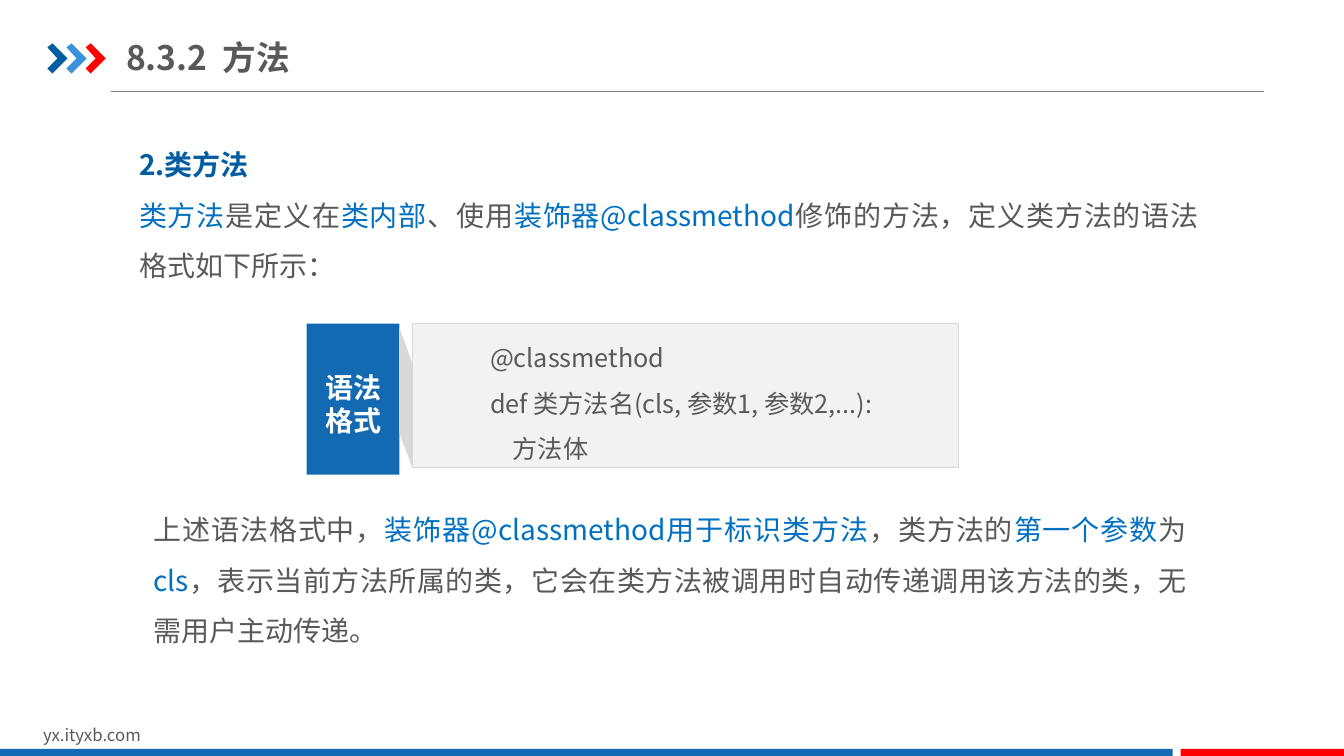
from lxml import etree
from pptx import Presentation
from pptx.dml.color import RGBColor
from pptx.enum.shapes import MSO_CONNECTOR, MSO_SHAPE
from pptx.enum.text import MSO_ANCHOR, PP_ALIGN
from pptx.oxml.ns import qn
from pptx.util import Inches, Pt

RECT = MSO_SHAPE.RECTANGLE
STRAIGHT = MSO_CONNECTOR.STRAIGHT
TOP, MIDDLE, BOTTOM = MSO_ANCHOR.TOP, MSO_ANCHOR.MIDDLE, MSO_ANCHOR.BOTTOM
LEFT, CENTER, JUSTIFY = PP_ALIGN.LEFT, PP_ALIGN.CENTER, PP_ALIGN.JUSTIFY
FONT = "Noto Sans CJK SC"
COLORS = {
    "navy": "005DA2", "sky": "3992DB", "red": "FF0000", "blue": "1369B2",
    "accent": "0070C0", "text": "595959", "rule": "808080",
    "panel": "F2F2F2", "border": "D9D9D9", "white": "FFFFFF",
}


def rgb(name):
    return RGBColor.from_string(COLORS[name])


def paint(sp, fill, line=None):
    sp.shadow.inherit = False
    sp.fill.solid()
    sp.fill.fore_color.rgb = rgb(fill)
    if line:
        sp.line.color.rgb = rgb(line)
        sp.line.width = Pt(0.25)
    else:
        sp.line.fill.background()


def add_rect(s, box, fill, line=None):
    sp = s.shapes.add_shape(RECT, *map(Inches, box))
    paint(sp, fill, line)
    return sp


def add_outline(s, points, fill):
    points = [(Inches(x), Inches(y)) for x, y in points]
    builder = s.shapes.build_freeform(*points[0], scale=1.0)
    builder.add_line_segments(points[1:], close=True)
    paint(builder.convert_to_shape(), fill)


def add_chevron(s, left, fill):
    offsets = [(0, 0.47), (0.05, 0.43), (0.2, 0.58), (0.05, 0.73), (0, 0.68), (0.1, 0.58)]
    add_outline(s, [(left + dx, y) for dx, y in offsets], fill)


def add_rule(s, x1, x2, y):
    line = s.shapes.add_connector(STRAIGHT, Inches(x1), Inches(y), Inches(x2), Inches(y))
    line.line.color.rgb = rgb("rule")
    line.line.width = Pt(0.75)
    etree.SubElement(line._element.spPr, qn("a:effectLst"))


def setup_frame(sp, anchor=TOP, inset=(0.1, 0.05)):
    tf = sp.text_frame
    tf.word_wrap = True
    tf.vertical_anchor = anchor
    tf.margin_left = tf.margin_right = Inches(inset[0])
    tf.margin_top = tf.margin_bottom = Inches(inset[1])
    return tf


def add_text_box(s, box, anchor=TOP, inset=(0.1, 0.05)):
    return setup_frame(s.shapes.add_textbox(*map(Inches, box)), anchor, inset)


def write(tf, paragraphs, size, color="text", bold=False, align=LEFT, spacing=1.0):
    for runs in paragraphs:
        p = tf.paragraphs[0] if not tf.paragraphs[0].runs else tf.add_paragraph()
        p.alignment = align
        p.line_spacing = spacing
        p.font.size = Pt(size)
        p.font.bold = bold
        p.font.name = FONT
        p.font.color.rgb = rgb(color)
        defaults = p._p.pPr.find(qn("a:defRPr"))
        etree.SubElement(defaults, qn("a:ea")).set("typeface", FONT)
        for text, run_color in runs:
            r = p.add_run()
            r.text = text
            if run_color:
                r.font.color.rgb = rgb(run_color)


def plain(*lines):
    return [[(line, None)] for line in lines]


def add_header(s):
    add_rule(s, 1.1, 12.54, 0.91)
    for i, color in enumerate(("navy", "sky", "red")):
        add_chevron(s, 0.47 + 0.19 * i, color)
    tf = add_text_box(s, (1.25, 0.29, 5.02, 0.55), MIDDLE, (0, 0.07))
    write(tf, plain("8.3.2  方法"), 24, bold=True)


def add_footer(s):
    write(add_text_box(s, (0.33, 7.14, 3.18, 0.3)), plain("yx.ityxb.com"), 12)
    add_rect(s, (0, 7.43, 11.63, 0.09), "blue")
    add_rect(s, (11.71, 7.43, 1.63, 0.09), "red")


def add_syntax(s):
    panel = add_rect(s, (4.09, 3.21, 5.41, 1.43), "panel", "border")
    tf = setup_frame(panel, MIDDLE)
    tf.margin_left = Inches(0.77)
    code = plain("@classmethod", "def 类方法名(cls, 参数1, 参数2,...):", "    方法体")
    write(tf, code, 18, spacing=1.5)
    add_rect(s, (3.04, 3.21, 0.92, 1.5), "blue")
    label = add_text_box(s, (3.11, 3.28, 0.79, 1.11), BOTTOM)
    write(label, plain("语法", "格式"), 20, "white", True, CENTER)
    add_outline(s, [(4.09, 3.6), (4.09, 4.64), (3.96, 4.29), (3.96, 3.25)], "border")


def main():
    prs = Presentation()
    prs.slide_width, prs.slide_height = Inches(13.33), Inches(7.5)
    s = prs.slides.add_slide(prs.slide_layouts[6])
    add_header(s)
    add_footer(s)

    intro = add_text_box(s, (1.25, 1.23, 10.77, 1.5), inset=(0.13, 0.07))
    write(intro, plain("2.类方法"), 20, "navy", True, JUSTIFY, 1.5)
    write(intro, [[
        ("类方法", "accent"), ("是定义在", None), ("类内部", "accent"), ("、使用", None),
        ("装饰器@classmethod", "accent"),
        ("修饰的方法，定义类方法的语法格式如下所示：", None),
    ]], 20, align=JUSTIFY, spacing=1.5)

    add_syntax(s)

    summary = add_text_box(s, (1.39, 4.85, 10.51, 1.73), inset=(0.13, 0.07))
    write(summary, [[
        ("上述语法格式中，", None), ("装饰器@classmethod用于标识类方法", "accent"),
        ("，类方法的", None), ("第一个参数", "accent"), ("为", None), ("cls", "accent"),
        ("，表示当前方法所属的类，它会在类方法被调用时自动传递调用该方法的类，无需用户主动传递。", None),
    ]], 20, align=JUSTIFY, spacing=1.5)

    prs.save("out.pptx")


if __name__ == "__main__":
    main()
